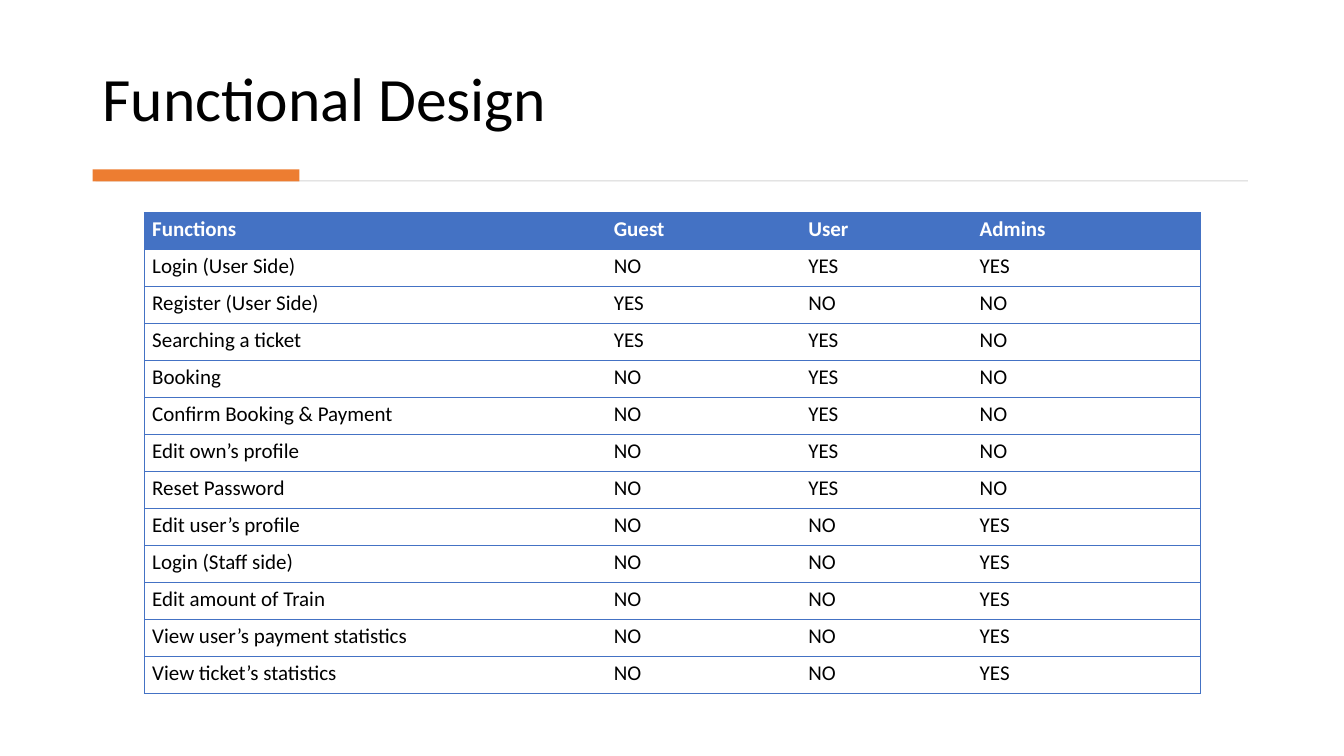
import pptx
import pptx.util
import pptx.dml.color
import pptx.enum.shapes
import pptx.enum.text
from lxml import etree
from pptx.oxml.ns import qn

Pt = pptx.util.Pt
COLORS = {"text": "000000", "white": "FFFFFF", "blue": "4472C4",
          "orange": "ED7D31", "rule": "D5D5D5"}
HEADER = ["Functions", "Guest", "User", "Admins"]
ACCESS = [
    ["Login (User Side)", "NO", "YES", "YES"],
    ["Register (User Side)", "YES", "NO", "NO"],
    ["Searching a ticket", "YES", "YES", "NO"],
    ["Booking", "NO", "YES", "NO"],
    ["Confirm Booking & Payment", "NO", "YES", "NO"],
    ["Edit own’s profile", "NO", "YES", "NO"],
    ["Reset Password", "NO", "YES", "NO"],
    ["Edit user’s profile", "NO", "NO", "YES"],
    ["Login (Staff side)", "NO", "NO", "YES"],
    ["Edit amount of Train", "NO", "NO", "YES"],
    ["View user’s payment statistics", "NO", "NO", "YES"],
    ["View ticket’s statistics", "NO", "NO", "YES"],
]
COLUMN_WIDTHS = [329.76, 138.96, 122.4, 163.44]
CELL_FORMAT = {"margin_left": Pt(5.76), "margin_right": Pt(5.76),
               "margin_top": Pt(2.88), "margin_bottom": Pt(2.88)}


def rgb(name):
    return pptx.dml.color.RGBColor.from_string(COLORS[name])


def apply(target, values):
    for name, value in values.items():
        setattr(target, name, value)


def write(p, text, size, color, bold=False):
    r = p.add_run()
    r.text = text
    apply(r.font, {"name": "Calibri", "size": Pt(size), "bold": bold})
    r.font.color.rgb = rgb(color)


def add_title(s, left, top, width, height, text):
    tf = s.shapes.add_textbox(Pt(left), Pt(top), Pt(width), Pt(height)).text_frame
    apply(tf, {"word_wrap": True,
               "vertical_anchor": pptx.enum.text.MSO_ANCHOR.BOTTOM})
    p = tf.paragraphs[0]
    p.line_spacing = 0.9
    write(p, text, 44, "text")


def add_bar(s, left, top, width, height, color):
    sp = s.shapes.add_shape(pptx.enum.shapes.MSO_SHAPE.RECTANGLE,
                            Pt(left), Pt(top), Pt(width), Pt(height))
    sp.shadow.inherit = False
    sp.fill.solid()
    sp.fill.fore_color.rgb = rgb(color)
    sp.line.fill.background()


def add_divider(s, left, top, width, height):
    """Thin rule with a short thick accent at its left end."""
    add_bar(s, left + 2.16, top + height - 0.72, width - 2.16, 0.72, "rule")
    add_bar(s, left, top, 147.6, height, "orange")


def set_borders(cell, visible):
    """Draw the sides named in visible (letters of LRTB) and hide the others."""
    tcPr = cell._tc.get_or_add_tcPr()
    for side in "LRTB":
        ln = etree.SubElement(tcPr, qn(f"a:ln{side}"), w=str(Pt(0.5)))
        if side in visible:
            fill = etree.SubElement(ln, qn("a:solidFill"))
            etree.SubElement(fill, qn("a:srgbClr"), val=COLORS["blue"])
        else:
            etree.SubElement(ln, qn("a:noFill"))


def add_access_table(s, left, top, height):
    rows = [HEADER] + ACCESS
    table = s.shapes.add_table(len(rows), len(HEADER), Pt(left), Pt(top),
                               Pt(sum(COLUMN_WIDTHS)), Pt(height)).table
    table.horz_banding = False
    for column, width in zip(table.columns, COLUMN_WIDTHS):
        column.width = Pt(width)
    for i, texts in enumerate(rows):
        table.rows[i].height = Pt(height / len(rows))
        for j, text in enumerate(texts):
            cell = table.cell(i, j)
            apply(cell, CELL_FORMAT)
            outer = {0: "L", len(HEADER) - 1: "R"}.get(j, "")
            set_borders(cell, "TB" + outer)
            if i == 0:
                cell.fill.solid()
                cell.fill.fore_color.rgb = rgb("blue")
            else:
                cell.fill.background()
            write(cell.text_frame.paragraphs[0], text, 15,
                  "white" if i == 0 else "text", bold=i == 0)


def main():
    prs = pptx.Presentation()
    apply(prs, {"slide_width": Pt(960), "slide_height": Pt(540)})
    s = prs.slides.add_slide(prs.slide_layouts[6])
    add_title(s, 66.24, 20.16, 827.28, 79.92, "Functional Design")
    add_divider(s, 66.24, 120.96, 825.12, 8.64)
    add_access_table(s, 102.96, 151.92, 343.44)
    prs.save("out.pptx")


if __name__ == "__main__":
    main()
